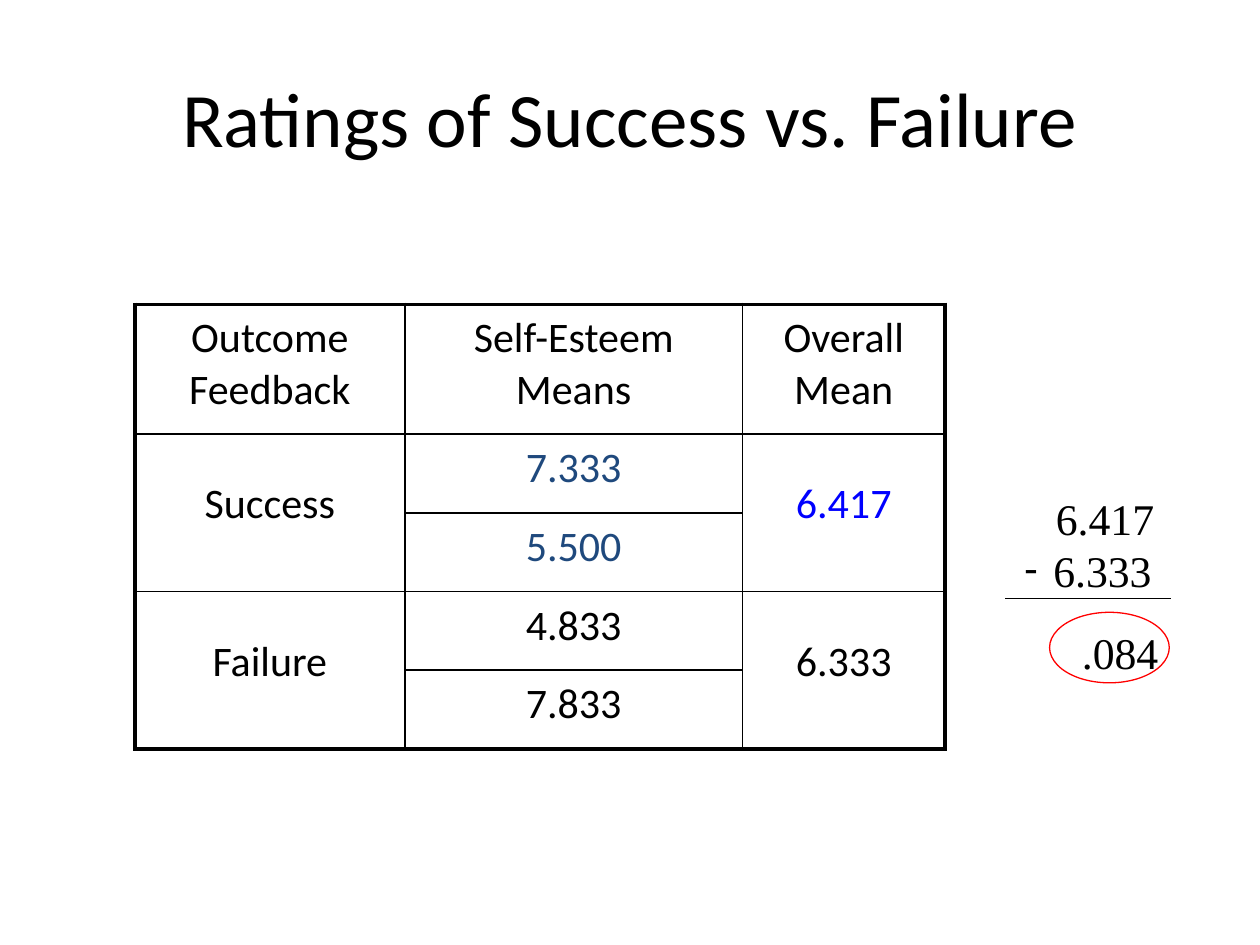
from lxml import etree
from pptx import Presentation
from pptx import util as u
from pptx.dml.color import RGBColor
from pptx.enum import shapes, text
from pptx.oxml import ns

COLUMNS, ROWS = 100, 75
BLACK, NAVY, BLUE, RED = "000000", "1F497D", "0000FF", "FF0000"


def colour(value):
    return RGBColor.from_string(value)


def child(parent, tag, **attributes):
    return etree.SubElement(parent, ns.qn(tag), attributes)


def write(paragraph, words, font="Calibri", size=24, fill=BLACK, before=0,
          left=0, right=0, hang=0, bullet=None):
    properties = paragraph._p.get_or_add_pPr()
    for name, value in (("marL", left), ("marR", right), ("indent", -hang)):
        properties.set(name, str(u.Inches(value)))
    if bullet:
        child(properties, "a:buFont", typeface="Calibri")
        child(properties, "a:buChar", char=bullet)
    paragraph.alignment = text.PP_ALIGN.CENTER
    if before:
        paragraph.space_before = u.Pt(before)
    run = paragraph.add_run()
    run.text = words
    run.font.name = font
    run.font.size = u.Pt(size)
    run.font.bold = False
    run.font.color.rgb = colour(fill)


class SlideBuilder:
    def __init__(self, presentation):
        self.column = presentation.slide_width / COLUMNS
        self.row = presentation.slide_height / ROWS
        self.slide = presentation.slides.add_slide(presentation.slide_layouts[6])

    def place(self, *lengths):
        return [round(length * unit) for length, unit in zip(lengths, (self.column, self.row) * 2)]

    def text_box(self, box, lines, anchor, **style):
        frame = self.slide.shapes.add_textbox(*self.place(*box)).text_frame
        frame.word_wrap = True
        frame.vertical_anchor = anchor
        frame.margin_left = frame.margin_right = frame.margin_top = frame.margin_bottom = 0
        for index, (words, extra) in enumerate(lines):
            paragraph = frame.add_paragraph() if index else frame.paragraphs[0]
            write(paragraph, words, **style, **extra)

    def table(self, box, column_shares, row_heights, cells):
        frame = self.slide.shapes.add_table(len(row_heights), len(column_shares), *self.place(*box))
        table = frame.table
        table.first_row = table.horz_banding = False
        for column, share in zip(table.columns, column_shares):
            column.width = round(box[2] * self.column * share / sum(column_shares))
        for row, height in zip(table.rows, row_heights):
            row.height = round(height * self.row)
        for row, column, span, words, fill in cells:
            cell = table.cell(row, column)
            if span > 1:
                cell.merge(table.cell(row + span - 1, column))
            self.cell(cell, words, fill, span)
            self.borders(cell, {
                "a:lnL": column == 0,
                "a:lnR": column == len(column_shares) - 1,
                "a:lnT": row == 0,
                "a:lnB": row + span == len(row_heights),
            })

    def cell(self, cell, words, fill, span):
        cell.fill.background()
        cell.margin_left = cell.margin_right = u.Inches(0.14)
        cell.margin_top = cell.margin_bottom = u.Inches(0.07)
        if span > 1:
            cell.vertical_anchor = text.MSO_ANCHOR.MIDDLE
            cell.margin_top, cell.margin_bottom = u.Inches(0.02), u.Inches(0.15)
        write(cell.text_frame.paragraphs[0], words, fill=fill)

    def borders(self, cell, outer_edges):
        properties = cell._tc.get_or_add_tcPr()
        for index, (tag, outer) in enumerate(outer_edges.items()):
            line = child(properties, tag, w=str(u.Pt(2.25 if outer else 1)))
            child(child(line, "a:solidFill"), "a:srgbClr", val=BLACK)
            properties.insert(index, line)

    def line(self, start, end, stroke):
        connector = self.slide.shapes.add_connector(
            shapes.MSO_CONNECTOR.STRAIGHT, *self.place(*start, *end))
        connector.line.color.rgb = colour(stroke)
        connector.line.width = u.Pt(0.75)
        child(connector._element.spPr, "a:effectLst")

    def ellipse(self, box, stroke):
        shape = self.slide.shapes.add_shape(shapes.MSO_SHAPE.OVAL, *self.place(*box))
        shape.shadow.inherit = False
        shape.fill.background()
        shape.line.color.rgb = colour(stroke)
        shape.line.width = u.Pt(0.75)


def main():
    presentation = Presentation()
    presentation.slide_width, presentation.slide_height = u.Inches(10), u.Inches(7.5)
    builder = SlideBuilder(presentation)

    builder.text_box((5, 3, 90, 12.5), [("Ratings of Success vs. Failure", {})],
                     text.MSO_ANCHOR.MIDDLE, size=44)

    headings = ("Outcome Feedback", "Self-Esteem Means", "Overall Mean")
    cells = [(0, column, 1, words, BLACK) for column, words in enumerate(headings)]
    groups = (
        ("Success", ("7.333", "5.500"), NAVY, "6.417", BLUE),
        ("Failure", ("4.833", "7.833"), BLACK, "6.333", BLACK),
    )
    for group, (outcome, means, mean_fill, overall, overall_fill) in enumerate(groups):
        top = 1 + 2 * group
        cells += [(top, 0, 2, outcome, BLACK), (top, 2, 2, overall, overall_fill)]
        cells += [(top + step, 1, 1, mean, mean_fill) for step, mean in enumerate(means)]
    builder.table((10.7, 24.15, 64.3, 35.3), (4, 5, 3), [10.3] + [6.25] * 4, cells)

    subtraction = [
        ("6.417", {}),
        ("6.333", {"left": 0.23, "right": 0.27, "hang": 0.23, "bullet": "-"}),
        (".084", {"left": 0.24, "before": 17}),
    ]
    builder.text_box((80, 39, 15.4, 15), subtraction, text.MSO_ANCHOR.TOP,
                     font="Times New Roman", size=25)
    builder.line((79.8, 47.5), (92.9, 47.5), BLACK)
    builder.ellipse((83.3, 48.6, 9.5, 5.6), RED)

    presentation.save("out.pptx")


if __name__ == "__main__":
    main()
